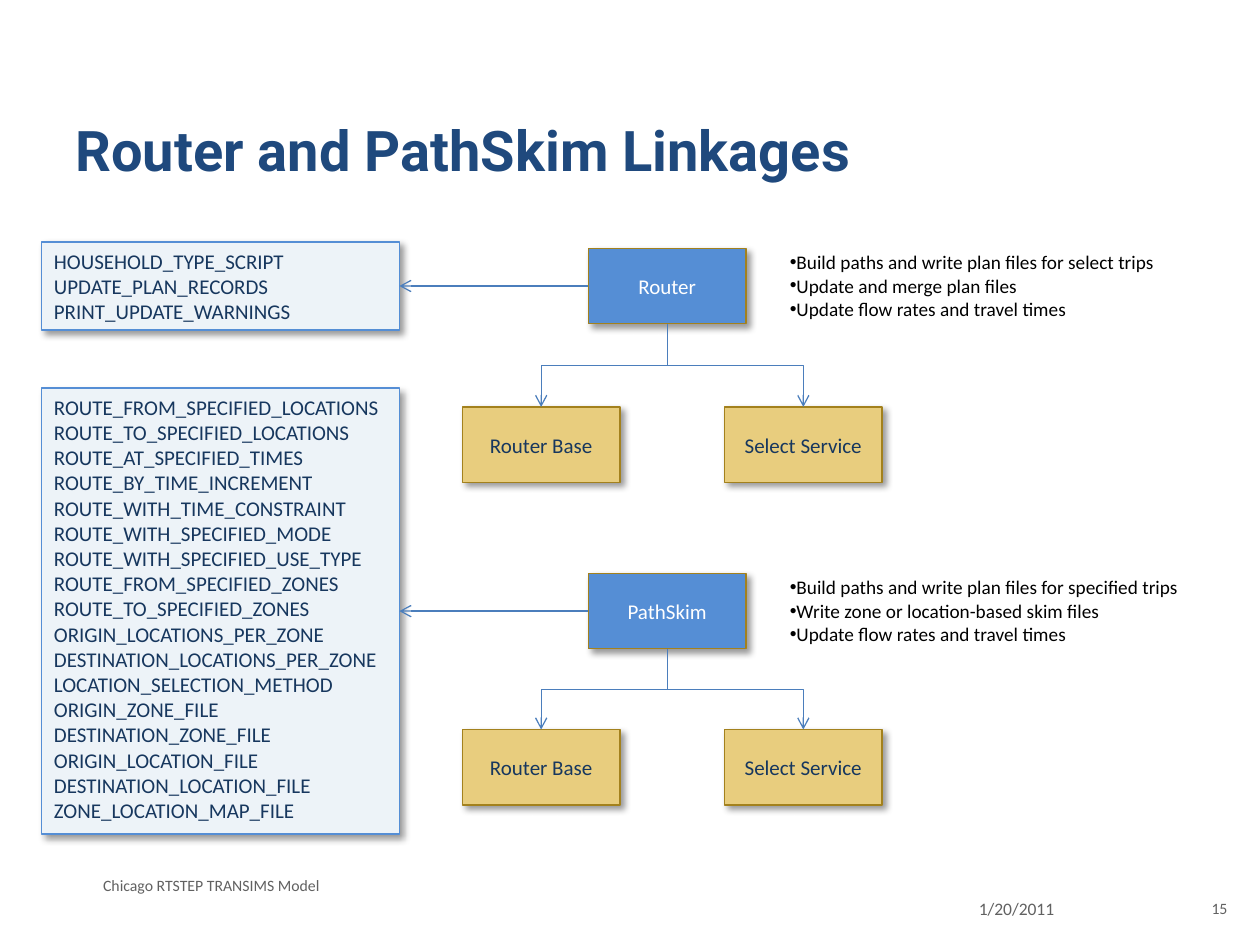
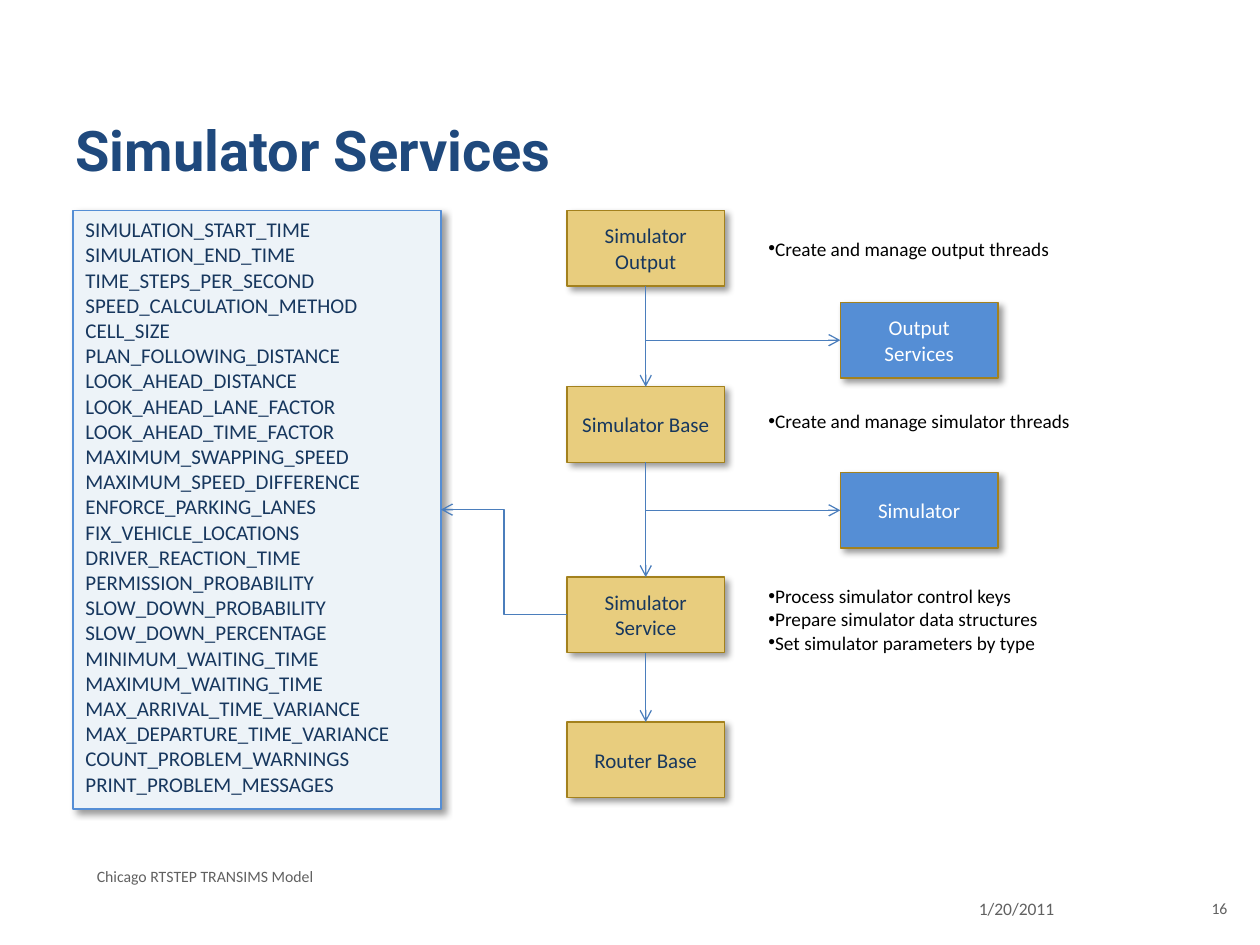
from lxml import etree
from pptx import Presentation
from pptx.dml.color import RGBColor
from pptx.enum import shapes, text
from pptx.oxml.ns import qn
from pptx.util import Inches, Pt

NAVY, INK, GREY, BLACK, WHITE = "1F497D", "17375E", "616161", "000000", "FFFFFF"
BLUE, GOLD, PALE, BRONZE, ARROW = "558ED5", "E8CD7E", "EDF3F8", "A3811D", "4B7EBC"
BOX_WIDTH, BOX_HEIGHT = 1.25, 0.6
TOP, LEFT, BOTTOM, RIGHT = range(4)  # connection sites of a rectangle

ROUTER_KEYS = "HOUSEHOLD_TYPE_SCRIPT UPDATE_PLAN_RECORDS PRINT_UPDATE_WARNINGS"
PATHSKIM_KEYS = """ROUTE_FROM_SPECIFIED_LOCATIONS
ROUTE_TO_SPECIFIED_LOCATIONS
ROUTE_AT_SPECIFIED_TIMES
ROUTE_BY_TIME_INCREMENT
ROUTE_WITH_TIME_CONSTRAINT
ROUTE_WITH_SPECIFIED_MODE
ROUTE_WITH_SPECIFIED_USE_TYPE
ROUTE_FROM_SPECIFIED_ZONES
ROUTE_TO_SPECIFIED_ZONES
ORIGIN_LOCATIONS_PER_ZONE
DESTINATION_LOCATIONS_PER_ZONE
LOCATION_SELECTION_METHOD
ORIGIN_ZONE_FILE
DESTINATION_ZONE_FILE
ORIGIN_LOCATION_FILE
DESTINATION_LOCATION_FILE
ZONE_LOCATION_MAP_FILE"""
SIMULATOR_KEYS = """SIMULATION_START_TIME
SIMULATION_END_TIME
TIME_STEPS_PER_SECOND
SPEED_CALCULATION_METHOD
CELL_SIZE
PLAN_FOLLOWING_DISTANCE
LOOK_AHEAD_DISTANCE
LOOK_AHEAD_LANE_FACTOR
LOOK_AHEAD_TIME_FACTOR
MAXIMUM_SWAPPING_SPEED
MAXIMUM_SPEED_DIFFERENCE
ENFORCE_PARKING_LANES
FIX_VEHICLE_LOCATIONS
DRIVER_REACTION_TIME
PERMISSION_PROBABILITY
SLOW_DOWN_PROBABILITY
SLOW_DOWN_PERCENTAGE
MINIMUM_WAITING_TIME
MAXIMUM_WAITING_TIME
MAX_ARRIVAL_TIME_VARIANCE
MAX_DEPARTURE_TIME_VARIANCE
COUNT_PROBLEM_WARNINGS
PRINT_PROBLEM_MESSAGES"""


def rgb(value):
    return RGBColor.from_string(value)


def set_all(target, values):
    for name, value in values.items():
        setattr(target, name, value)


def add_xml(parent, tag, **attributes):
    return etree.SubElement(parent, qn(tag), attributes)


def site_point(shape, site):
    """Return the x and y of a connection site in the middle of an edge."""
    x = {LEFT: 0, RIGHT: shape.width}.get(site, shape.width // 2)
    y = {TOP: 0, BOTTOM: shape.height}.get(site, shape.height // 2)
    return shape.left + x, shape.top + y


class Deck:
    def __init__(self):
        self.presentation = Presentation()
        set_all(self.presentation, {"slide_width": Inches(10), "slide_height": Inches(7.5)})
        self.slide = None

    def fill_text(self, shape, content, size, color, font="Calibri", bold=False, bullets=False,
                  align=text.PP_ALIGN.LEFT, **frame_format):
        frame = shape.text_frame
        set_all(frame, {"word_wrap": True, "vertical_anchor": text.MSO_ANCHOR.TOP, **frame_format})
        frame.text = content
        for paragraph in frame.paragraphs:
            paragraph.alignment = align
            if bullets:
                properties = paragraph._p.get_or_add_pPr()
                add_xml(properties, "a:buFont", typeface="Arial")
                add_xml(properties, "a:buChar", char="•")
            for run in paragraph.runs:
                set_all(run.font, {"name": font, "size": Pt(size), "bold": bold})
                run.font.color.rgb = rgb(color)

    def start(self, title, number, footer_left, footer_top):
        layout = self.presentation.slide_layouts[5]
        self.slide = self.presentation.slides.add_slide(layout)
        heading = self.slide.shapes.title
        set_all(heading, {"left": Inches(0.5), "top": Inches(0.3),
                          "width": Inches(9), "height": Inches(1.25)})
        self.fill_text(heading, title, 32, NAVY, "Roboto", True, margin_bottom=Inches(0.1),
                       vertical_anchor=text.MSO_ANCHOR.BOTTOM, auto_size=text.MSO_AUTO_SIZE.NONE)
        self.label("1/20/2011", 7.67, 7.08, 1.5, 0.33, 10, GREY)
        self.label("Chicago RTSTEP TRANSIMS Model", footer_left, footer_top, 6.5, 0.25, 9, GREY)
        self.label(str(number), 9.42, 7.08, 0.42, 0.32, 9, GREY, align=text.PP_ALIGN.RIGHT)

    def label(self, content, left, top, width, height, size, color, **style):
        box = self.slide.shapes.add_textbox(*map(Inches, (left, top, width, height)))
        self.fill_text(box, content, size, color, **style)

    def bullet_list(self, content, left, top, width):
        height = 0.11 + 0.18 * len(content.splitlines())
        self.label(content, left, top, width, height, 11, BLACK, bullets=True,
                   auto_size=text.MSO_AUTO_SIZE.SHAPE_TO_FIT_TEXT)

    def panel(self, kind, left, top, width, height, fill, line):
        """Add a filled, outlined shape with a soft shadow to the lower right."""
        shape = self.slide.shapes.add_shape(kind, *map(Inches, (left, top, width, height)))
        shape.fill.solid()
        shape.fill.fore_color.rgb = rgb(fill)
        shape.line.color.rgb = rgb(line)
        shape.line.width = Pt(0.75)
        shape.shadow.inherit = False
        effects = shape._element.spPr.find(qn("a:effectLst"))
        shadow = add_xml(effects, "a:outerShdw", blurRad=str(Pt(4)), dist=str(Pt(3)),
                         dir="2700000", algn="tl", rotWithShape="0")
        add_xml(add_xml(shadow, "a:srgbClr", val=BLACK), "a:alpha", val="40000")
        return shape

    def process(self, content, left, top, fill=GOLD):
        shape = self.panel(shapes.MSO_SHAPE.FLOWCHART_PROCESS, left, top,
                           BOX_WIDTH, BOX_HEIGHT, fill, BRONZE)
        self.fill_text(shape, content, 12, WHITE if fill == BLUE else INK,
                       align=text.PP_ALIGN.CENTER, vertical_anchor=text.MSO_ANCHOR.MIDDLE)
        return shape

    def key_list(self, content, left, top, width, height):
        shape = self.panel(shapes.MSO_SHAPE.RECTANGLE, left, top, width, height, PALE, BLUE)
        self.fill_text(shape, content, 12, INK, auto_size=text.MSO_AUTO_SIZE.SHAPE_TO_FIT_TEXT)
        return shape

    def link(self, source, source_site, target, target_site):
        """Join two shapes by an arrow, straight if the sites line up, else bent."""
        x1, y1 = site_point(source, source_site)
        x2, y2 = site_point(target, target_site)
        straight = x1 == x2 or y1 == y2
        kind = shapes.MSO_CONNECTOR.STRAIGHT if straight else shapes.MSO_CONNECTOR.ELBOW
        connector = self.slide.shapes.add_connector(kind, x1, y1, x2, y2)
        connector.begin_connect(source, source_site)
        connector.end_connect(target, target_site)
        properties = connector._element.spPr
        if source_site == BOTTOM and not straight:
            self.turn_down(connector, x1, y1, x2, y2)
            if target_site == LEFT:
                properties.find(qn("a:prstGeom")).set("prst", "bentConnector2")
        connector.line.color.rgb = rgb(ARROW)
        connector.line.width = Pt(0.75)
        add_xml(properties.find(qn("a:ln")), "a:tailEnd", type="arrow")
        add_xml(properties, "a:effectLst")

    @staticmethod
    def turn_down(connector, x1, y1, x2, y2):
        """Rotate a bent connector so that it leaves its source downwards."""
        width, height = y2 - y1, abs(x2 - x1)
        set_all(connector, {"left": (x1 + x2 - width) // 2, "top": (y1 + y2 - height) // 2,
                            "width": width, "height": height})
        frame = connector._element.spPr.find(qn("a:xfrm"))
        for flip in ("flipH", "flipV"):
            frame.attrib.pop(flip, None)
        if x2 > x1:
            frame.set("flipH", "1")
        frame.set("rot", str((270 if x2 > x1 else 90) * 60000))


def linkages_slide(deck):
    deck.start("Router and PathSkim Linkages", 15, 0.72, 6.9)
    programs = [
        ("Router", 1.97, 3.23, ROUTER_KEYS, 1.92, 0.7,
         "Build paths and write plan files for select trips\n"
         "Update and merge plan files\nUpdate flow rates and travel times"),
        ("PathSkim", 4.55, 5.79, PATHSKIM_KEYS, 3.08, 3.54,
         "Build paths and write plan files for specified trips\n"
         "Write zone or location-based skim files\nUpdate flow rates and travel times"),
    ]
    for name, top, service_top, keys, keys_top, keys_height, tasks in programs:
        program = deck.process(name, 4.67, top, BLUE)
        deck.bullet_list(tasks, 6.17, top - 0.03, 3.33)
        key_list = deck.key_list(keys, 0.33, keys_top, 2.84, keys_height)
        deck.link(program, LEFT, key_list, RIGHT)
        for service, left in (("Router Base", 3.67), ("Select Service", 5.75)):
            deck.link(program, BOTTOM, deck.process(service, left, service_top), TOP)


def simulator_slide(deck):
    deck.start("Simulator Services", 16, 0.67, 6.83)
    key_list = deck.key_list(SIMULATOR_KEYS, 0.58, 1.67, 2.92, 4.75)
    steps = [("Simulator Output", 1.67), ("Simulator Base", 3.07),
             ("Simulator Service", 4.58), ("Router Base", 5.73)]
    chain = [deck.process(name, 4.5, top) for name, top in steps]
    output, base, service = chain[:3]
    for upper, lower in zip(chain, chain[1:]):
        deck.link(upper, BOTTOM, lower, TOP)
    for source, name, top in ((output, "Output\nServices", 2.4), (base, "Simulator", 3.75)):
        deck.link(source, BOTTOM, deck.process(name, 6.67, top, BLUE), LEFT)
    deck.link(service, LEFT, key_list, RIGHT)
    deck.bullet_list("Create and manage output threads", 6, 1.83, 2.83)
    deck.bullet_list("Create and manage simulator threads", 6, 3.2, 2.83)
    deck.bullet_list("Process simulator control keys\nPrepare simulator data structures\n"
                     "Set simulator parameters by type", 6, 4.59, 2.58)


def main():
    deck = Deck()
    linkages_slide(deck)
    simulator_slide(deck)
    deck.presentation.save("out.pptx")


if __name__ == "__main__":
    main()
